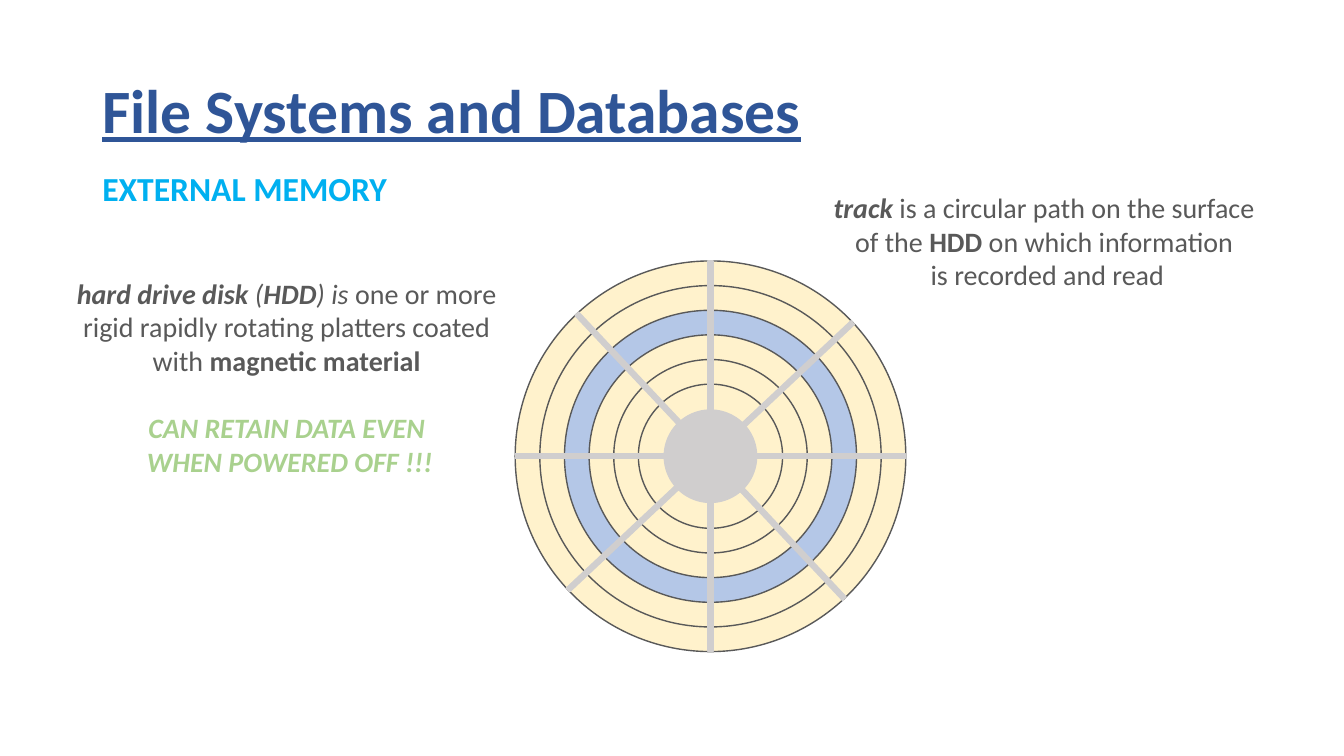
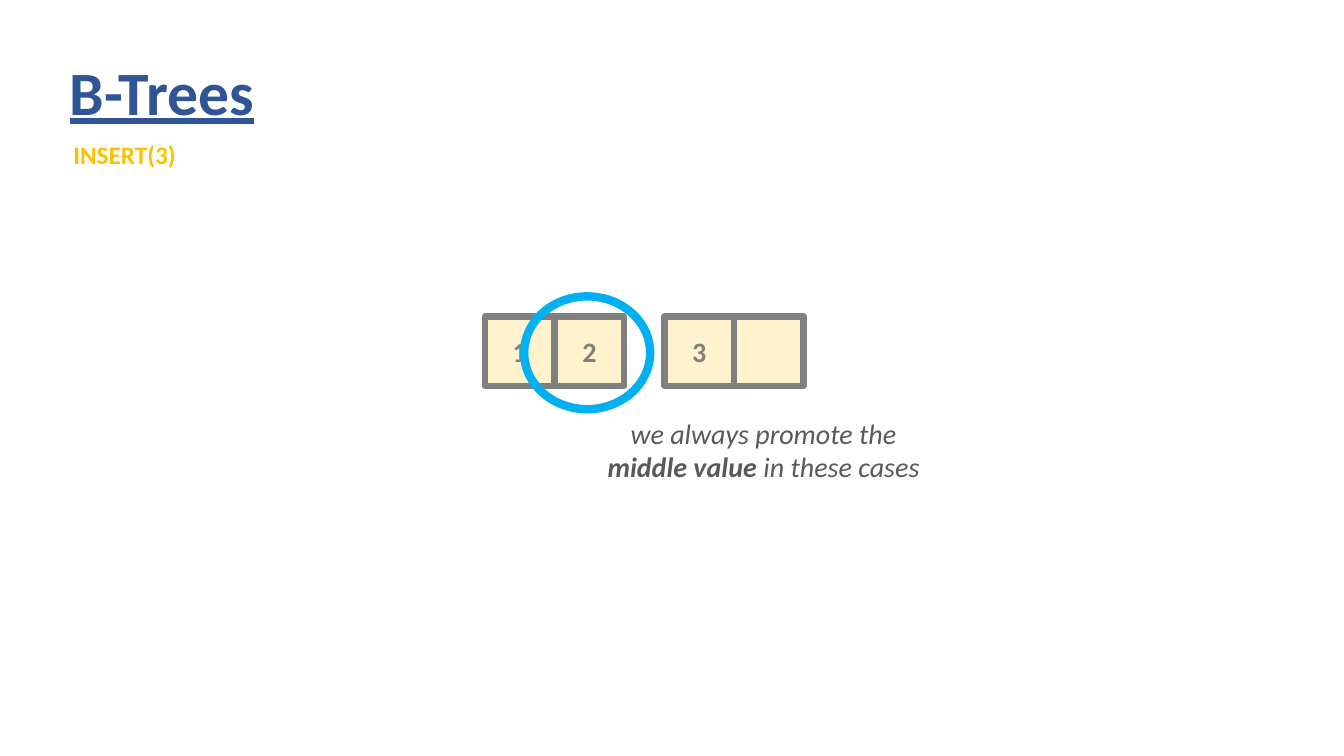
import pptx
import pptx.dml.color
import pptx.enum.shapes
import pptx.enum.text
import pptx.util

Pt = pptx.util.Pt
SHAPE = pptx.enum.shapes.MSO_SHAPE
ALIGN = pptx.enum.text.PP_ALIGN
ANCHOR = pptx.enum.text.MSO_ANCHOR

FONT = "Calibri"
COLORS = {
    "title": "2F5597",
    "sky": "00B0F0",
    "gold": "FFC000",
    "text": "595959",
    "green": "A9D18E",
    "cream": "FFF2CC",
    "track": "B4C7E7",
    "hub": "D0CECE",
    "cell": "808080",
}


def rgb(name):
    return pptx.dml.color.RGBColor.from_string(COLORS[name])


def style_run(r, size, color, style=""):
    """Format a run; style holds any of the letters b, i and u."""
    r.font.name = FONT
    r.font.size = Pt(size)
    r.font.color.rgb = rgb(color)
    r.font.bold = "b" in style
    r.font.italic = "i" in style
    r.font.underline = "u" in style


def add_titled_slide(prs, title, box):
    s = prs.slides.add_slide(prs.slide_layouts[5])
    sp = s.shapes.title
    sp.left, sp.top, sp.width, sp.height = map(Pt, box)
    tf = sp.text_frame
    tf.text = title
    tf.auto_size = pptx.enum.text.MSO_AUTO_SIZE.NONE
    tf.vertical_anchor = ANCHOR.MIDDLE
    p = tf.paragraphs[0]
    p.alignment = ALIGN.LEFT
    p.line_spacing = 0.9
    style_run(p.runs[0], 44, "title", "bu")
    return s


def add_text(s, box, lines, size=20, color="text", align=ALIGN.CENTER):
    """Add one paragraph per line; a line is a list of (text, style) parts."""
    tf = s.shapes.add_textbox(*map(Pt, box)).text_frame
    tf.word_wrap = False
    for i, parts in enumerate(lines):
        p = tf.add_paragraph() if i else tf.paragraphs[0]
        p.alignment = align
        for text, style in parts:
            r = p.add_run()
            r.text = text
            style_run(r, size, color, style)
    return tf


def add_figure(s, kind, box, fill, line, weight=1):
    sp = s.shapes.add_shape(kind, *map(Pt, box))
    sp.shadow.inherit = False
    if fill:
        sp.fill.solid()
        sp.fill.fore_color.rgb = rgb(fill)
    else:
        sp.fill.background()
    sp.line.color.rgb = rgb(line)
    sp.line.width = Pt(weight)
    return sp


def add_centered(s, kind, center, width, height, fill, line):
    x, y = center
    box = (x - width / 2, y - height / 2, width, height)
    return add_figure(s, kind, box, fill, line)


def add_disk(s, left, top, size):
    """Draw a platter with six tracks, four sector bars and a hub."""
    center = (left + size / 2, top + size / 2)
    tracks, highlighted, hub = 6, 2, 66
    step = (size - 103) / (tracks - 1)
    for i in range(tracks):
        d = size - i * step
        fill = "track" if i == highlighted else "cream"
        add_centered(s, SHAPE.OVAL, center, d, d, fill, "text")
    for angle in (0, 90, 46.8, 136.8):
        bar = add_centered(s, SHAPE.RECTANGLE, center, 3.6, size, "hub", "hub")
        bar.rotation = angle
    add_centered(s, SHAPE.OVAL, center, hub, hub, "hub", "hub")


def add_node(s, left, top, size, keys):
    """Draw a tree node as a row of square cells, one per key."""
    for i, key in enumerate(keys):
        box = (left + i * size, top, size, size)
        sp = add_figure(s, SHAPE.RECTANGLE, box, "cream", "cell", 4.5)
        if key:
            tf = sp.text_frame
            tf.text = key
            tf.vertical_anchor = ANCHOR.MIDDLE
            p = tf.paragraphs[0]
            p.alignment = ALIGN.CENTER
            style_run(p.runs[0], 20, "cell", "b")


def build_memory_slide(prs):
    s = add_titled_slide(prs, "File Systems and Databases", (66, 29, 828, 104))
    add_text(s, (66, 116.6, 853, 36), [[("EXTERNAL MEMORY", "b")]],
             24, "sky", ALIGN.LEFT)
    add_disk(s, 368, 186.4, 279)
    tf = add_text(s, (46.8, 193.7, 320.4, 152.6), [
        [("hard drive disk", "bi"), (" (", "i"), ("HDD", "bi"),
         (") is", "i"), (" one or more ", "")],
        [("rigid rapidly rotating platters coated ", "")],
        [("with ", ""), ("magnetic material ", "b")],
        [("CAN RETAIN DATA EVEN ", "bi")],
        [("WHEN POWERED OFF !!!", "bi")],
    ])
    warning = tf.paragraphs[3:]
    warning[0].space_before = Pt(24)
    for p in warning:
        p.runs[0].font.color.rgb = rgb("green")
    add_text(s, (586.8, 132.5, 322.6, 80), [
        [("track ", "bi"), ("is a circular path on the surface ", "")],
        [("of the ", ""), ("HDD ", "b"), ("on which information ", "")],
        [("is recorded and read", "")],
    ])


def build_tree_slide(prs):
    s = add_titled_slide(prs, "B-Trees", (42.5, 16, 828, 104))
    add_text(s, (45.4, 95.8, 88.6, 29), [[("INSERT(3)", "b")]],
             18, "gold", ALIGN.LEFT)
    for left, keys in ((346.4, ("1", "2")), (474.6, ("3", ""))):
        add_node(s, left, 226, 49.7, keys)
    add_figure(s, SHAPE.OVAL, (374.4, 211.7, 90, 80.6), None, "sky", 6)
    add_text(s, (424.8, 293.8, 241.2, 55.4), [
        [("we always promote the", "i")],
        [("middle value ", "bi"), ("in these cases", "i")],
    ])


def main():
    prs = pptx.Presentation()
    prs.slide_width, prs.slide_height = Pt(960), Pt(540)
    build_memory_slide(prs)
    build_tree_slide(prs)
    prs.save("out.pptx")


if __name__ == "__main__":
    main()
